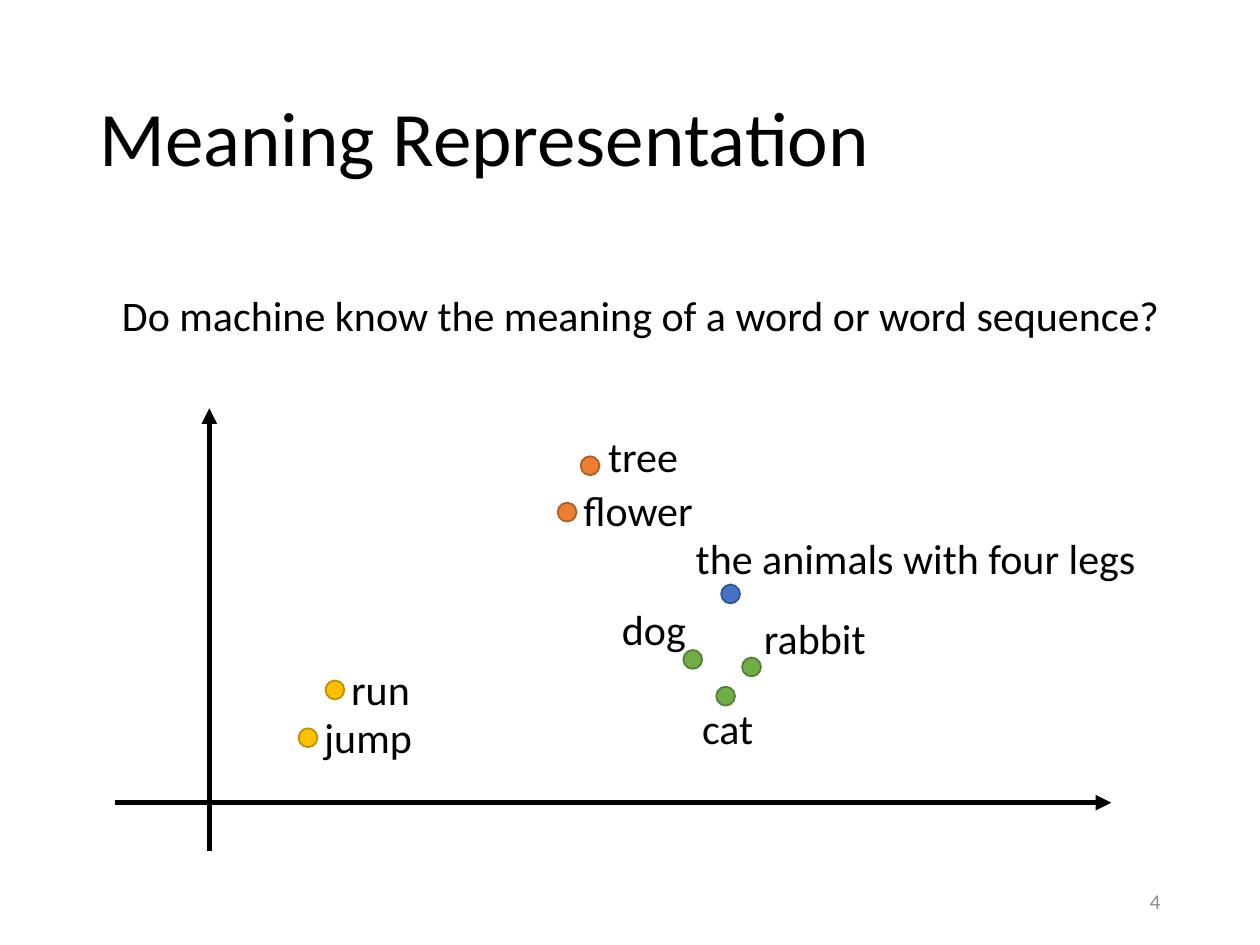
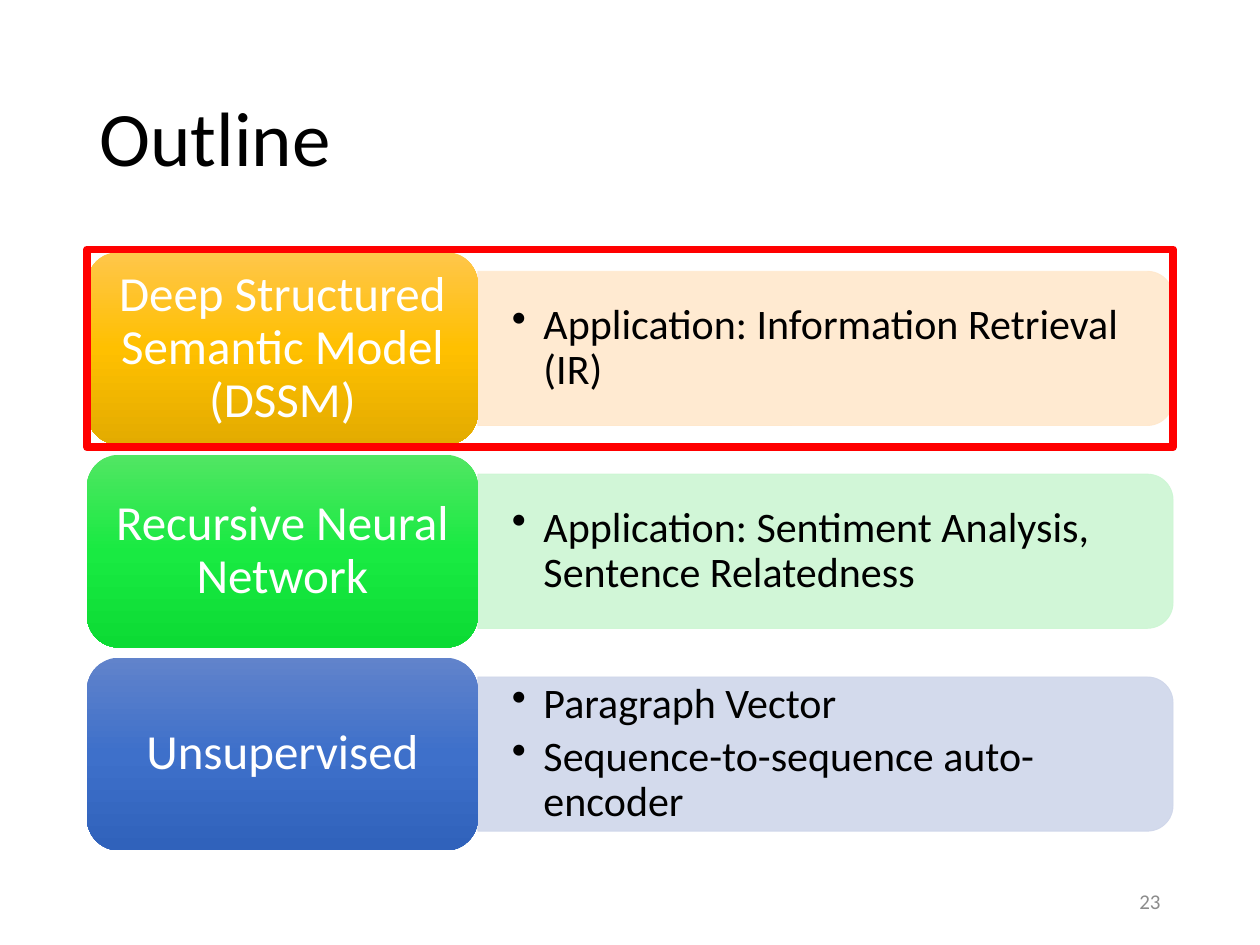
from copy import deepcopy
from dataclasses import dataclass

from lxml.etree import SubElement
from pptx import Presentation
from pptx.dml.color import RGBColor
from pptx.enum.shapes import MSO_CONNECTOR as Connector, MSO_SHAPE as Shape
from pptx.enum.text import MSO_ANCHOR as Anchor, MSO_AUTO_SIZE as AutoSize, PP_ALIGN as Align
from pptx.oxml.ns import qn
from pptx.util import Inches, Pt

FONT = "Calibri"
COLORS = {
    "text": "000000", "number": "8C8C8C", "card_text": "FFFFFF", "highlight": "FF0000",
    "animal": "70AD47", "animal_edge": "538035", "action": "FFC000", "action_edge": "BD8E00",
    "plant": "ED7D31", "plant_edge": "AF5C24", "phrase": "4472C4", "phrase_edge": "325491",
}
TOPIC_COLORS = {
    "gold": {"card": ("FFC64B", "FFC000", "E3AB00"), "bar": "FFE8CC"},
    "green": {"card": ("51E663", "19EA42", "0CDB34"), "bar": "CCF6D3"},
    "blue": {"card": ("6183CB", "3E70CA", "3062BB"), "bar": "CFD6EA"},
}


@dataclass
class Box:
    """A rectangle in inches."""
    left: float
    top: float
    width: float
    height: float

    def point(self, across, down):
        """Return the point at the given percentages of the box."""
        return self.left + self.width * across / 100, self.top + self.height * down / 100

    def inner(self, across, down, width, height):
        """Return the inner box given in percentages of this one."""
        return Box(*self.point(across, down), self.width * width / 100, self.height * height / 100)

    def emu(self):
        """Return the four lengths for python-pptx."""
        return [Inches(v) for v in (self.left, self.top, self.width, self.height)]


PAGE = Box(0, 0, 10, 7.5)
TITLE = Box(0.69, 0.4, 8.62, 1.45)
PAGE_NUMBER = Box(7.06, 6.95, 2.25, 0.4)
QUESTION = Box(0.87, 2.25, 8.77, 0.5)
PLOT = Box(0.91, 3.24, 7.91, 3.51)
TOPICS = Box(0.69, 2, 8.62, 4.75)

DOT = 0.15
LABEL_HEIGHT = 0.5
ROW_GAP = 0.08
WORDS = [
    ("dog", "animal", (58, 56.8), (-4.4, -3.3), 0.79),
    ("cat", "animal", (61.3, 65.1), (-1.9, 0), 0.79),
    ("rabbit", "animal", (63.9, 58.5), (0, -3.2), 1.08),
    ("jump", "action", (19.4, 74.5), (0.2, -1.7), 1.28),
    ("run", "action", (22.1, 63.7), (0.2, -1.7), 1.28),
    ("flower", "plant", (45.4, 23.5), (0.2, -1.8), 1.28),
    ("tree", "plant", (47.7, 13), (0.3, -2.2), 1.28),
    ("the animals with four legs", "phrase", (61.8, 42), (-2.5, -3.6), 4.42),
]
OUTLINE = [
    ("Deep Structured Semantic Model\v(DSSM)", ["Application: Information Retrieval (IR)"], "gold"),
    ("Recursive Neural Network", ["Application: Sentiment Analysis, Sentence Relatedness"], "green"),
    ("Unsupervised", ["Paragraph Vector", "Sequence-to-sequence auto-encoder"], "blue"),
]


def write(frame, lines, size, color=COLORS["text"], align=Align.LEFT, anchor=Anchor.TOP,
          spacing=None, margins=(0.1, 0.05)):
    """Fill a text frame with evenly formatted paragraphs."""
    frame.word_wrap = True
    frame.auto_size = AutoSize.NONE
    frame.vertical_anchor = anchor
    frame.margin_left = frame.margin_right = Inches(margins[0])
    frame.margin_top = frame.margin_bottom = Inches(margins[1])
    for index, line in enumerate(lines):
        paragraph = frame.add_paragraph() if index else frame.paragraphs[0]
        paragraph.text = line
        paragraph.alignment = align
        paragraph.line_spacing = spacing
        paragraph.font.name = FONT
        paragraph.font.size = Pt(size)
        paragraph.font.color.rgb = RGBColor.from_string(color)


def add_text(slide, box, lines, size, **style):
    """Add a text box and return its frame."""
    frame = slide.shapes.add_textbox(*box.emu()).text_frame
    write(frame, lines, size, **style)
    return frame


def add_figure(slide, kind, box, fill=None, edge=None, edge_width=1):
    """Add a preset shape without a shadow."""
    figure = slide.shapes.add_shape(kind, *box.emu())
    figure.shadow.inherit = False
    if fill:
        figure.fill.solid()
        figure.fill.fore_color.rgb = RGBColor.from_string(fill)
    else:
        figure.fill.background()
    if edge:
        figure.line.color.rgb = RGBColor.from_string(edge)
        figure.line.width = Pt(edge_width)
    else:
        figure.line.fill.background()
    return figure


def add_page(deck, title, number):
    """Add a slide with its title and page number."""
    slide = deck.slides.add_slide(deck.slide_layouts[5])
    heading = slide.shapes.title
    heading.left, heading.top, heading.width, heading.height = TITLE.emu()
    write(heading.text_frame, [title], 44, anchor=Anchor.MIDDLE, spacing=0.9)
    add_text(slide, PAGE_NUMBER, [number], 12, color=COLORS["number"],
             align=Align.RIGHT, anchor=Anchor.MIDDLE)
    return slide


def add_axis(slide, start, end):
    """Draw an axis with an arrowhead at its end."""
    axis = slide.shapes.add_connector(Connector.STRAIGHT, *map(Inches, start + end))
    axis.line.color.rgb = RGBColor.from_string(COLORS["text"])
    axis.line.width = Pt(3)
    properties = axis._element.spPr
    SubElement(properties.find(qn("a:ln")), qn("a:tailEnd"), type="triangle")
    SubElement(properties, qn("a:effectLst"))


def add_word_map(slide, box):
    """Place the axes and labelled word dots in the box."""
    add_axis(slide, box.point(0, 89.2), box.point(100, 89.2))
    add_axis(slide, box.point(9.5, 100), box.point(9.5, 0))
    for word, group, position, (shift_x, shift_y), width in WORDS:
        x, y = box.point(*position)
        add_figure(slide, Shape.OVAL, Box(x - DOT / 2, y - DOT / 2, DOT, DOT),
                   COLORS[group], COLORS[f"{group}_edge"])
        label = Box(x + shift_x * DOT, y + shift_y * DOT, width, LABEL_HEIGHT)
        add_text(slide, label, [word], 24)


def add_topic_bar(slide, box, details, color):
    """Draw a bar rounded on the right with its bulleted details."""
    center_x, center_y = box.point(50, 50)
    upright = Box(center_x - box.height / 2, center_y - box.width / 2, box.height, box.width)
    bar = add_figure(slide, Shape.ROUND_2_SAME_RECTANGLE, upright, color, color, 0.5)
    bar.rotation = 90
    for tint in bar._element.spPr.iter(qn("a:srgbClr")):
        SubElement(tint, qn("a:alpha"), val="90000")
    frame = add_text(slide, box.inner(0, 5, 99, 90), details, 24, anchor=Anchor.MIDDLE,
                     spacing=0.9, margins=(0.27, 0.14))
    for paragraph in frame.paragraphs:
        paragraph.space_after = Pt(4)
        properties = paragraph._p.get_or_add_pPr()
        properties.set("marL", str(Inches(0.25)))
        properties.set("indent", str(-Inches(0.25)))
        bullet = properties.makeelement(qn("a:buChar"), {"char": "•"})
        properties.find(qn("a:defRPr")).addprevious(bullet)


def add_topic_card(slide, box, topic, shades):
    """Draw a rounded gradient card with its topic."""
    card = add_figure(slide, Shape.ROUNDED_RECTANGLE, box)
    card.fill.gradient()
    card.fill.gradient_angle = 270
    stop_list = card._element.spPr.find(f".//{qn('a:gsLst')}")
    stop_list.insert(1, deepcopy(stop_list[0]))
    for stop, position, shade in zip(card.fill.gradient_stops, (0, 0.5, 1), shades):
        stop.position = position
        stop.color.rgb = RGBColor.from_string(shade)
    write(card.text_frame, [topic], 28, COLORS["card_text"], Align.CENTER, Anchor.MIDDLE,
          spacing=0.9, margins=(0.12, 0.06))


def add_topics(slide, box, current):
    """Stack the outline rows in the box and frame the current one."""
    pitch = (box.height + ROW_GAP) / len(OUTLINE)
    rows = [Box(box.left, box.top + i * pitch, box.width, pitch - ROW_GAP)
            for i in range(len(OUTLINE))]
    for row, (topic, details, palette) in zip(rows, OUTLINE):
        colors = TOPIC_COLORS[palette]
        add_topic_bar(slide, row.inner(36, 10, 64, 80), details, colors["bar"])
        add_topic_card(slide, row.inner(0, 0, 36, 100), topic, colors["card"])
    add_figure(slide, Shape.RECTANGLE, rows[current].inner(0, -1.3, 100, 102.6),
               edge=COLORS["highlight"], edge_width=4.5)


def main():
    """Build and save the two slides."""
    deck = Presentation()
    deck.slide_width, deck.slide_height = Inches(PAGE.width), Inches(PAGE.height)
    meaning = add_page(deck, "Meaning Representation", "4")
    add_text(meaning, QUESTION, ["Do machine know the meaning of a word or word sequence?"], 24)
    add_word_map(meaning, PLOT)
    add_topics(add_page(deck, "Outline", "23"), TOPICS, current=0)
    deck.save("out.pptx")


if __name__ == "__main__":
    main()
